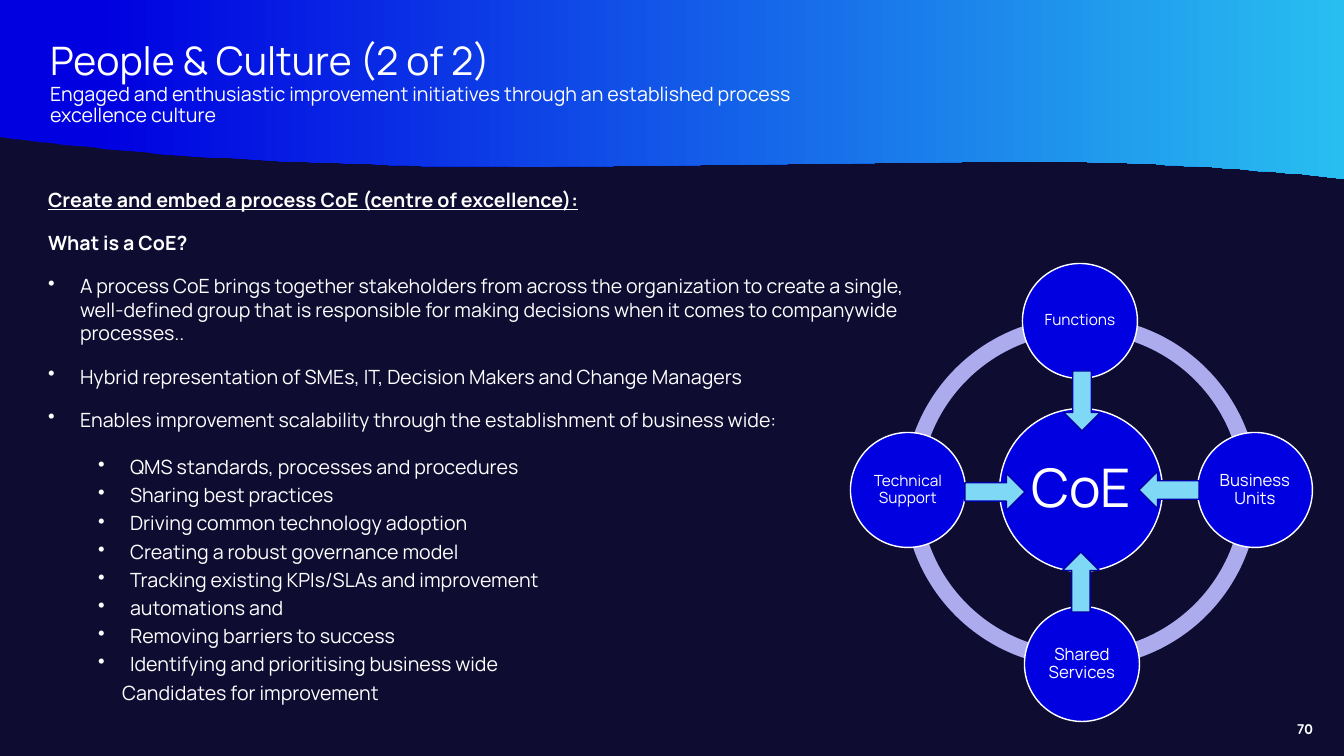
from dataclasses import dataclass
from lxml.etree import SubElement
from pptx import Presentation
from pptx.dml.color import RGBColor
from pptx.enum.shapes import MSO_SHAPE
from pptx.enum.text import MSO_ANCHOR, PP_ALIGN
from pptx.oxml.ns import qn
from pptx.util import Pt


@dataclass(frozen=True)
class Theme:
    """Colours, fonts and type sizes of the deck."""
    night: str = "0F0C32"
    blue: str = "0000E1"
    cyan: str = "28BEF0"
    ring: str = "ABABEE"
    arrow: str = "7ED8F6"
    edge: str = "0000A6"
    white: str = "FFFFFF"
    font: str = "Manrope"
    digit: str = "Quicksand"
    title: int = 28
    body: int = 14
    hub: int = 38
    node: int = 12
    small: int = 11
    page: int = 10


THEME = Theme()
SCALE = 914400 / 100.8
WIDTH, HEIGHT = 1344, 756

POINTS = [
    "A process CoE brings together stakeholders from across the organization to create a single, "
    "well-defined group that is responsible for making decisions when it comes to companywide processes..",
    "Hybrid representation of SMEs, IT, Decision Makers and Change Managers",
    "Enables improvement scalability through the establishment of business wide:",
]
GOALS = [
    "QMS standards, processes and procedures",
    "Sharing best practices",
    "Driving common technology adoption",
    "Creating a robust governance model",
    "Tracking existing KPIs/SLAs and improvement",
    "automations and",
    "Removing barriers to success",
    "Identifying and prioritising business wide",
]
NODES = [
    ("Functions", THEME.small, (-1, -169), (1, -89), 90),
    ("Business Units", THEME.node, (174, 0), (88, 0), 180),
    ("Shared Services", THEME.node, (1, 174), (0, 92), 270),
    ("Technical Support", THEME.small, (-173, 0), (-86, 2), 0),
]


def px(num):
    """Turn pixels into EMU."""
    return round(num * SCALE)


def hue(code):
    """Turn a hex code into a colour."""
    return RGBColor.from_string(code)


def write(para, text, size, bold=False, line=False, font=THEME.font):
    """Add one white run to a paragraph."""
    run = para.add_run()
    run.text = text
    run.font.name = font
    run.font.size = Pt(size)
    run.font.bold = bold
    run.font.underline = line
    run.font.color.rgb = hue(THEME.white)


def frame(shape, inset=0, anchor=MSO_ANCHOR.TOP):
    """Set wrap, insets and anchor of a text frame and return it."""
    area = shape.text_frame
    area.word_wrap = True
    area.vertical_anchor = anchor
    area.margin_left = area.margin_right = px(inset)
    area.margin_top = area.margin_bottom = px(inset)
    return area


def dent(para, left, hang=0):
    """Indent a paragraph, with a bullet when it hangs."""
    props = para._p.get_or_add_pPr()
    props.set("marL", str(px(left)))
    props.set("indent", str(-px(hang)))
    if hang:
        tint = SubElement(props, qn("a:buClr"))
        SubElement(tint, qn("a:srgbClr"), val=THEME.white)
        SubElement(props, qn("a:buChar"), char="•")


def draw(slide, kind, mid, size, fill, edge=None):
    """Draw a preset shape around its middle."""
    (x, y), (w, h) = mid, size
    shape = slide.shapes.add_shape(kind, px(x - w / 2), px(y - h / 2), px(w), px(h))
    shape.shadow.inherit = False
    shape.fill.solid()
    shape.fill.fore_color.rgb = hue(fill)
    if edge:
        shape.line.color.rgb = hue(edge)
        shape.line.width = Pt(1)
    else:
        shape.line.fill.background()
    return shape


def curve(a, b, c, d, steps=40):
    """List points along a cubic curve, after its start."""
    spots = []
    for i in range(1, steps + 1):
        t = i / steps
        u = 1 - t
        spots.append(tuple(u**3 * p + 3 * u * u * t * q + 3 * u * t * t * r + t**3 * s
                           for p, q, r, s in zip(a, b, c, d)))
    return spots


def banner(slide, box):
    """Draw the wavy gradient band at the top."""
    x, y, w, h = box
    start = (w, h)
    edge = curve(start, (1234, 166), (1105, 160), (962, 162))
    edge += [(613, 166)] + curve((613, 166), (369, 169), (166, 159), (0, 137))
    edge += [(0, 0), (w, 0)]
    pen = slide.shapes.build_freeform(w, h, scale=SCALE)
    pen.add_line_segments(edge, close=True)
    band = pen.convert_to_shape(px(x), px(y))
    band.shadow.inherit = False
    band.line.fill.background()
    band.fill.gradient()
    band.fill.gradient_angle = 0
    for stop, spot, code in zip(band.fill.gradient_stops, (0.07, 1), (THEME.blue, THEME.cyan)):
        stop.position = spot
        stop.color.rgb = hue(code)


def heading(slide, box):
    """Fill the title placeholder with title and subtitle."""
    title = slide.shapes.title
    title.left, title.top, title.width, title.height = map(px, box)
    area = frame(title, 10, MSO_ANCHOR.MIDDLE)
    area.margin_top = area.margin_bottom = 0
    para = area.paragraphs[0]
    para.alignment = PP_ALIGN.LEFT
    para.line_spacing = 0.9
    write(para, "People & Culture (2 of 2)", THEME.title)
    for text in ("Engaged and enthusiastic improvement initiatives through an established process",
                 "excellence culture"):
        para.add_line_break()
        write(para, text, THEME.body)


def story(slide, box):
    """Write the headings and both bullet lists."""
    area = frame(slide.shapes.add_textbox(*map(px, box)))
    rows = [("Create and embed a process CoE (centre of excellence):", True, True, 0, 0),
            ("What is a CoE?", True, False, 0, 0)]
    rows += [(text, False, False, 32, 32) for text in POINTS]
    rows += [(text, False, False, 82, 32) for text in GOALS]
    rows += [("Candidates for improvement", False, False, 74, 0)]
    for i, (text, bold, line, left, hang) in enumerate(rows):
        para = area.add_paragraph() if i else area.paragraphs[0]
        if left > 32:
            para.line_spacing = 0.9
            para.space_before = Pt(5)
        else:
            para.space_after = Pt(14)
        dent(para, left, hang)
        write(para, text, THEME.body, bold, line)


def disc(slide, mid, size, text, type_size, inset):
    """Draw a blue circle with a centred label."""
    shape = draw(slide, MSO_SHAPE.OVAL, mid, (size, size), THEME.blue, THEME.white)
    para = frame(shape, inset, MSO_ANCHOR.MIDDLE).paragraphs[0]
    para.alignment = PP_ALIGN.CENTER
    para.line_spacing = 0.9
    write(para, text, type_size)


def wheel(slide, box):
    """Draw the ring, the hub, its four nodes and the arrows."""
    x, y, w, h = box
    cx, cy = x + w / 2, y + h / 2
    for i in range(4):
        arc = draw(slide, MSO_SHAPE.BLOCK_ARC, (cx, cy + 4 * (i // 2)), (355, 355), THEME.ring)
        for j, value in enumerate((54 * i, 54 * ((i + 1) % 4), 0.046)):
            arc.adjustments[j] = value
    disc(slide, (cx, cy), 163, "CoE", THEME.hub, 5)
    for text, size, (dx, dy), _, _ in NODES:
        disc(slide, (cx + dx, cy + dy), 115, text, size, 2)
    for _, _, _, (dx, dy), turn in NODES:
        arrow = draw(slide, MSO_SHAPE.RIGHT_ARROW, (cx + dx, cy + dy), (60, 37),
                     THEME.arrow, THEME.edge)
        arrow.rotation = turn


def folio(slide, box):
    """Write the page number."""
    para = frame(slide.shapes.add_textbox(*map(px, box))).paragraphs[0]
    para.alignment = PP_ALIGN.RIGHT
    write(para, "70", THEME.page, bold=True, font=THEME.digit)


def main():
    """Build and save the slide."""
    deck = Presentation()
    deck.slide_width, deck.slide_height = px(WIDTH), px(HEIGHT)
    slide = deck.slides.add_slide(deck.slide_layouts[5])
    slide.background.fill.solid()
    slide.background.fill.fore_color.rgb = hue(THEME.night)
    banner(slide, (0, 0, WIDTH, 179))
    title = slide.shapes.title._element
    title.getparent().append(title)
    heading(slide, (40, 42, 1161, 85))
    folio(slide, (1224, 721, 89, 17))
    story(slide, (48, 188, 904, 486))
    wheel(slide, (851, 260, 460, 460))
    deck.save("out.pptx")


if __name__ == "__main__":
    main()
